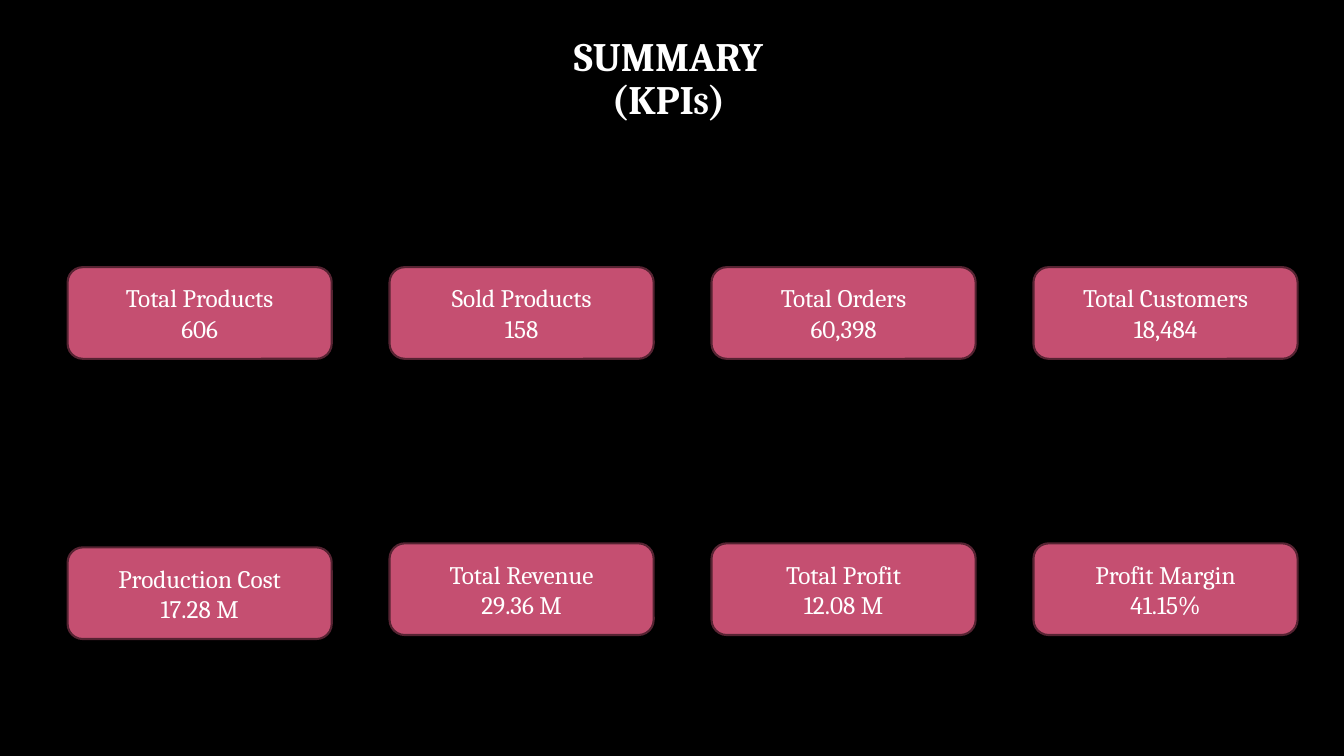
import copy
import pptx
import pptx.dml.color
import pptx.enum.shapes
import pptx.enum.text
import pptx.util

Inches = pptx.util.Inches
CENTER = pptx.enum.text.PP_ALIGN.CENTER
MIDDLE = pptx.enum.text.MSO_ANCHOR.MIDDLE

FONT = "Cambria"
WHITE, BLACK, ROSE, WINE = "FFFFFF", "000000", "C54F71", "562332"

# Label, value and downward offset of each card, row by row
KPI_ROWS = [
    [("Total Products", "606", 0), ("Sold Products", "158", 0),
     ("Total Orders", "60,398", 0), ("Total Customers", "18,484", 0)],
    [("Production Cost", "17.28 M", 0.04), ("Total Revenue", "29.36 M", 0),
     ("Total Profit", "12.08 M", 0), ("Profit Margin", "41.15%", 0)],
]
CARD_W, CARD_H = 2.62, 0.91


def set_color(color_format, value):
    color_format.rgb = pptx.dml.color.RGBColor.from_string(value)


def fill_solid(fill, value):
    fill.solid()
    set_color(fill.fore_color, value)


def format_run(r, size, bold=False):
    r.font.name = FONT
    r.font.size = pptx.util.Pt(size)
    r.font.bold = bold
    set_color(r.font.color, WHITE)


def add_title(s, left, top, width, height):
    title = s.shapes.title
    title.left, title.top = Inches(left), Inches(top)
    title.width, title.height = Inches(width), Inches(height)
    tf = title.text_frame
    tf.word_wrap = True
    tf.auto_size = pptx.enum.text.MSO_AUTO_SIZE.NONE
    tf.vertical_anchor = MIDDLE
    p = tf.paragraphs[0]
    p.alignment = CENTER
    p.line_spacing = 0.9
    p.text = "SUMMARY\v(KPI"
    for text in ("S", ")"):
        p.add_run().text = text
    for r, size in zip(p.runs, (28.8, 28.8, 21.6, 28.8)):
        format_run(r, size, bold=True)
    # The line break takes the size of the text before it
    line_break = p.runs[0]._r.getnext()
    line_break.append(copy.deepcopy(p.runs[0]._r.rPr))


def add_card(s, left, top, width, height, label, value):
    sp = s.shapes.add_shape(pptx.enum.shapes.MSO_SHAPE.ROUNDED_RECTANGLE,
                            Inches(left), Inches(top), Inches(width), Inches(height))
    sp.shadow.inherit = False
    fill_solid(sp.fill, ROSE)
    fill_solid(sp.line.fill, WINE)
    sp.line.width = pptx.util.Pt(1.5)
    tf = sp.text_frame
    tf.word_wrap = True
    tf.vertical_anchor = MIDDLE
    tf.text = f"{label}\n{value}"
    for p in tf.paragraphs:
        p.alignment = CENTER
        format_run(p.runs[0], 18)


def add_kpi_grid(s, left, top, width, height):
    """Spread the cards evenly so that the outer ones touch the box's edges."""
    row_step = (height - CARD_H) / (len(KPI_ROWS) - 1)
    for i, row in enumerate(KPI_ROWS):
        col_step = (width - CARD_W) / (len(row) - 1)
        for j, (label, value, offset) in enumerate(row):
            add_card(s, left + j * col_step, top + i * row_step + offset,
                     CARD_W, CARD_H, label, value)


def main():
    prs = pptx.Presentation()
    prs.slide_width, prs.slide_height = Inches(13.33), Inches(7.5)
    s = prs.slides.add_slide(prs.slide_layouts[5])
    fill_solid(s.background.fill, BLACK)
    add_title(s, 0.67, 0.43, 11.92, 0.73)
    add_kpi_grid(s, 0.67, 2.65, 12.2, 3.65)
    prs.save("out.pptx")


if __name__ == "__main__":
    main()
